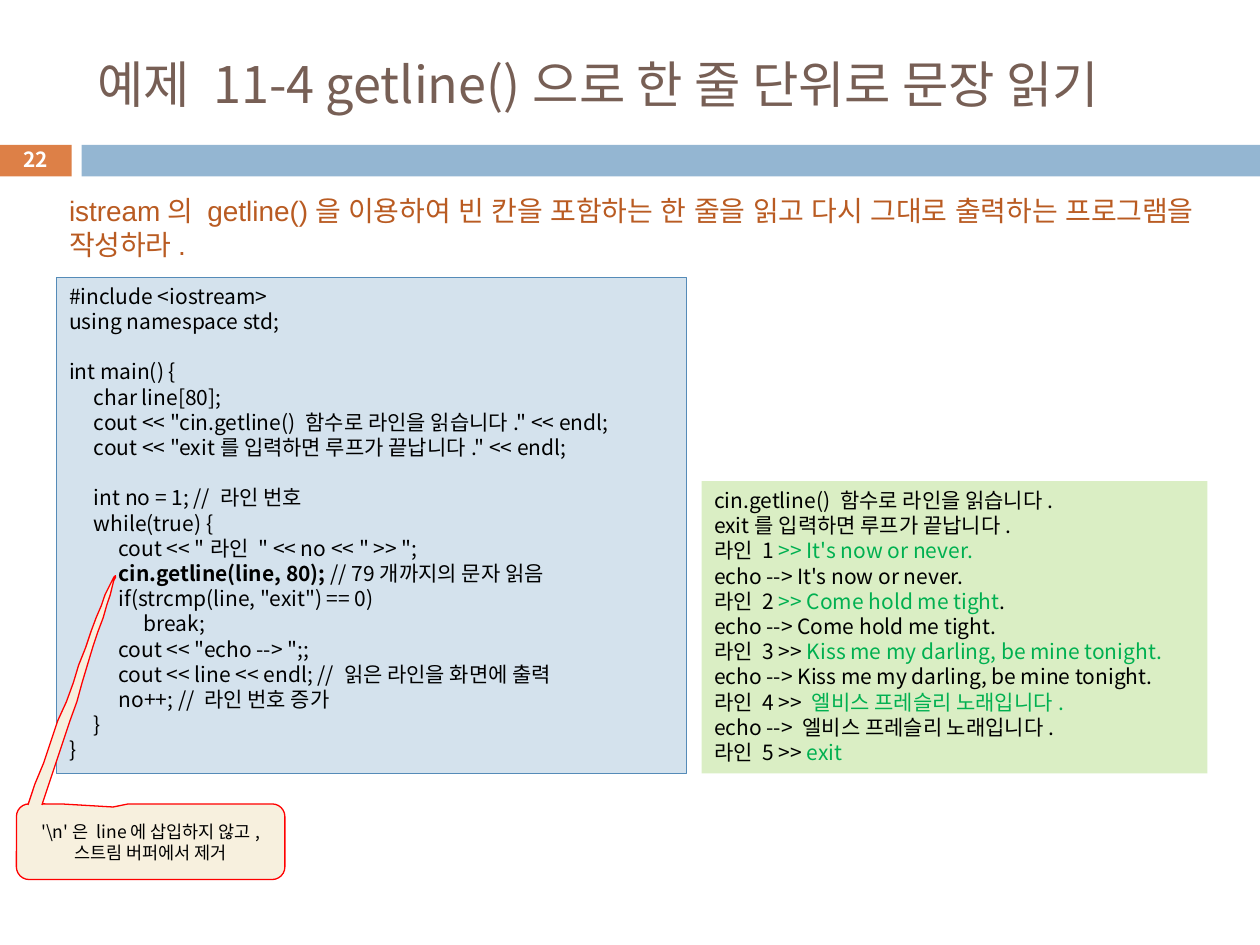
from lxml.etree import SubElement as Sub
from pptx import Presentation
from pptx.dml.color import RGBColor as Rgb
from pptx.enum.shapes import MSO_SHAPE as Kind
from pptx.enum.text import MSO_ANCHOR as Anchor, PP_ALIGN as Align
from pptx.oxml.ns import qn
from pptx.util import Pt

HUES = {
    "orange": "DD8047", "blue": "94B6D2", "brown": "775F55", "white": "FFFFFF",
    "black": "000000", "rust": "B95B22", "pale": "D4E2ED", "edge": "558BB8",
    "lime": "DAEEC4", "green": "00B050", "cream": "F7F0DE", "red": "FF0000",
}
FONT = "Noto Sans CJK KR"
TAB = 14.2
BOLD = {"bold": True}
GREEN = {"hue": "green"}

CODE = [
    "#include <iostream>",
    "using namespace std;",
    "",
    "int main() {",
    "\tchar line[80];",
    "\tcout << \"cin.getline() 함수로 라인을 읽습니다.\" << endl;",
    "\tcout << \"exit를 입력하면 루프가 끝납니다.\" << endl;",
    "",
    "\tint no = 1; // 라인 번호",
    "\twhile(true) {",
    "\t\tcout << \"라인 \" << no << \" >> \";",
    [("\t\t", {}), ("cin.getline(line, 80);", BOLD), (" // 79개까지의 문자 읽음", {})],
    "\t\tif(strcmp(line, \"exit\") == 0)",
    "\t\t\tbreak;",
    "\t\tcout << \"echo --> \";;",
    "\t\tcout << line << endl; // 읽은 라인을 화면에 출력",
    "\t\tno++; // 라인 번호 증가",
    "\t}",
    "}",
]
ECHO = [
    "cin.getline() 함수로 라인을 읽습니다.",
    "exit를 입력하면 루프가 끝납니다.",
    [("라인 1 ", {}), (">> It's now or never.", GREEN)],
    "echo --> It's now or never.",
    [("라인 2 ", {}), (">> Come hold me tight", GREEN), (".", {})],
    "echo --> Come hold me tight.",
    [("라인 3 >> ", {}), ("Kiss me my darling, be mine tonight.", GREEN)],
    "echo --> Kiss me my darling, be mine tonight.",
    [("라인 4 >> ", {}), ("엘비스 프레슬리 노래입니다.", GREEN)],
    "echo --> 엘비스 프레슬리 노래입니다.",
    [("라인 5 >> ", {}), ("exit", GREEN)],
]


def rgb(hue):
    """Return the named colour."""
    return Rgb.from_string(HUES[hue])


def style(run, size, hue, font, bold=False):
    """Format one run, for Latin and Korean script alike."""
    face = run.font
    face.size, face.bold, face.name = Pt(size), bold, font
    face.color.rgb = rgb(hue)
    Sub(run._r.get_or_add_rPr(), qn("a:ea"), typeface=font)


def write(shape, lines, size=12, hue="black", font=FONT, bold=False,
          align=Align.LEFT, anchor=Anchor.TOP, tabs=0):
    """Fill a shape with lines, each a string or a list of (text, format)."""
    frame = shape.text_frame
    frame.word_wrap, frame.vertical_anchor = True, anchor
    base = {"size": size, "hue": hue, "font": font, "bold": bold}
    for i, line in enumerate(lines):
        par = frame.add_paragraph() if i else frame.paragraphs[0]
        par.alignment = align
        if tabs:
            stops = Sub(par._p.get_or_add_pPr(), qn("a:tabLst"))
            for n in range(1, tabs + 1):
                Sub(stops, qn("a:tab"), pos=str(Pt(TAB * n)), algn="l")
        if not line:
            Sub(par._p, qn("a:endParaRPr"), sz=str(size * 100))
            continue
        for text, extra in [(line, {})] if isinstance(line, str) else line:
            run = par.add_run()
            run.text = text
            style(run, **{**base, **extra})


def paint(shape, fill, edge=None):
    """Set fill and outline, without a shadow."""
    shape.shadow.inherit = False
    shape.fill.solid()
    shape.fill.fore_color.rgb = rgb(fill)
    if edge:
        shape.line.color.rgb = rgb(edge)
        shape.line.width = Pt(0.75)
    else:
        shape.line.fill.background()
    return shape


def block(slide, box, fill, edge=None, kind=Kind.RECTANGLE):
    """Add a painted preset shape."""
    return paint(slide.shapes.add_shape(kind, *map(Pt, box)), fill, edge)


def label(slide, box, text, **form):
    """Add a text box."""
    write(slide.shapes.add_textbox(*map(Pt, box)), [text], **form)


def head(slide, x, y, w, h):
    """Place the title over the band with the page number."""
    top, deep, tag = y + 82.8, 18, 41.5
    block(slide, (x, top, tag, deep), "orange")
    block(slide, (x + 47.2, top, w - 47.2, deep), "blue")
    label(slide, (x + 48.9, y + 18, 642.2, h - 41.8),
          "예제 11-4 getline()으로 한 줄 단위로 문장 읽기",
          size=28.8, hue="brown", anchor=Anchor.MIDDLE)
    label(slide, (x, top - 1.2, tag, deep + 1.2), "22", size=11.9, hue="white",
          bold=True, align=Align.CENTER, anchor=Anchor.MIDDLE)


def panel(slide, box, lines, fill, edge=None, tabs=0):
    """Place a filled panel of lines."""
    write(block(slide, box, fill, edge), lines, tabs=tabs)


def curve(a, b, c, d, steps=16):
    """Return points along a cubic curve."""
    def mix(t, *v):
        """Blend four values at t."""
        s = 1 - t
        return s**3 * v[0] + 3 * s*s*t * v[1] + 3 * s*t*t * v[2] + t**3 * v[3]
    return [tuple(mix(n / steps, *v) for v in zip(a, b, c, d))
            for n in range(steps + 1)]


def note(slide, x, y, w, h):
    """Place the callout and its long tail."""
    bub = block(slide, (x, y, w, h), "cream", "red", Kind.ROUNDED_RECTANGULAR_CALLOUT)
    for i, adj in enumerate((-0.14, -0.459, 0.167)):
        bub.adjustments[i] = adj
    write(bub, ["'\\n'은 line에 삽입하지 않고, 스트림 버퍼에서 제거"],
          size=10, align=Align.CENTER, anchor=Anchor.MIDDLE)
    low, mid, tip = y + 0.7, y - 64.8, y - 130.3
    peak = (x + 56.1, tip)
    pts = curve((x + 6.5, low), (x + 30.2, mid), (x + 54.7, tip), peak)
    pts += curve(peak, (x + 57.6, tip), (x + 36, mid), (x + 15.1, low))[1:]
    pen = slide.shapes.build_freeform(*pts[0], scale=Pt(1))
    pen.add_line_segments(pts[1:], close=False)
    paint(pen.convert_to_shape(), "cream", "red")


def main():
    """Build and save the slide."""
    deck = Presentation()
    deck.slide_width, deck.slide_height = Pt(720), Pt(540)
    slide = deck.slides.add_slide(deck.slide_layouts[6])
    head(slide, -0.5, 0, 720.5, 100.8)
    panel(slide, (401, 275, 289, 167), ECHO, "lime")
    panel(slide, (32.4, 158.4, 360, 283.6), CODE, "pale", "edge", tabs=3)
    note(slide, 9.4, 459.4, 153.4, 43.2)
    label(slide, (32.4, 107.3, 657.4, 46),
          "istream의 getline()을 이용하여 빈 칸을 포함하는 한 줄을 읽고 "
          "다시 그대로 출력하는 프로그램을 작성하라.",
          size=16, hue="rust", font="Arial")
    deck.save("out.pptx")


if __name__ == "__main__":
    main()
